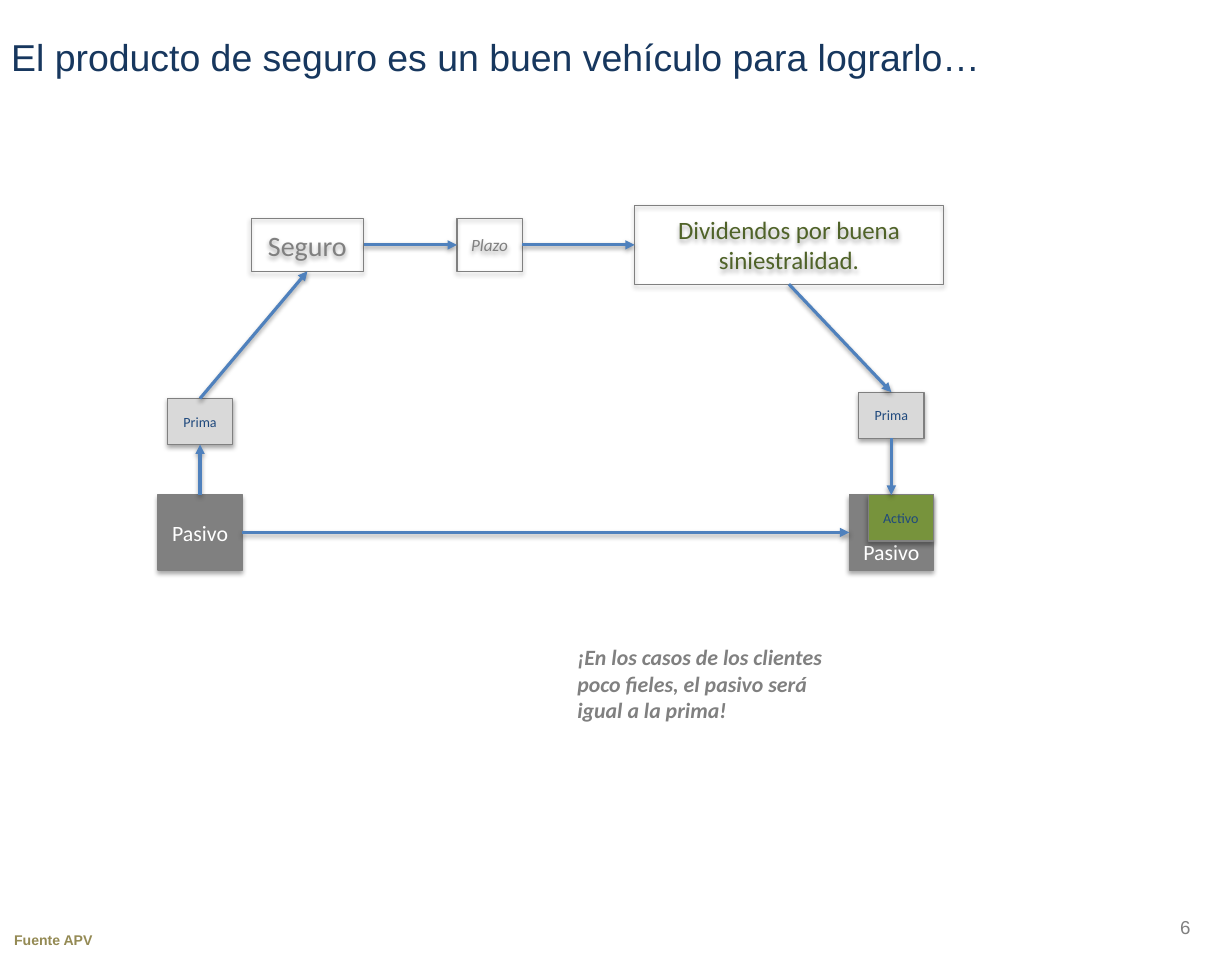
from pptx import Presentation
from pptx.dml.color import RGBColor
from pptx.enum.shapes import MSO_CONNECTOR as LINE, MSO_SHAPE as SHAPE
from pptx.enum.text import MSO_ANCHOR as ANCHOR, PP_ALIGN as ALIGN
from pptx.oxml import parse_xml
from pptx.oxml.ns import nsdecls
from pptx.util import Pt

GRAY = RGBColor(0x80, 0x80, 0x80)
PALE = RGBColor(0xD9, 0xD9, 0xD9)
WHITE = RGBColor(0xFF, 0xFF, 0xFF)
NAVY = RGBColor(0x17, 0x37, 0x5E)
INK = RGBColor(0x1F, 0x49, 0x7D)
BLUE = RGBColor(0x4F, 0x81, 0xBD)
GREEN = RGBColor(0x77, 0x93, 0x3C)
OLIVE = RGBColor(0x4F, 0x62, 0x28)
TAN = RGBColor(0x94, 0x8A, 0x54)


def write(shape, text, face, size, color, align=ALIGN.LEFT):
    frame = shape.text_frame
    frame.word_wrap = True
    frame.text = text
    par = frame.paragraphs[0]
    par.alignment = align
    par.font.name = face
    par.font.size = Pt(size)
    par.font.color.rgb = color
    return par.font


def shade(shape, dist, alpha):
    shape._element.spPr.append(parse_xml(
        f'<a:effectLst {nsdecls("a")}><a:outerShdw blurRad="{Pt(3.1)}" '
        f'dist="{Pt(dist)}" dir="5400000" rotWithShape="0"><a:srgbClr val="000000">'
        f'<a:alpha val="{alpha * 1000}"/></a:srgbClr></a:outerShdw></a:effectLst>'))


deck = Presentation()
deck.slide_width, deck.slide_height = Pt(790.6), Pt(612)
slide = deck.slides.add_slide(deck.slide_layouts[5])
shapes = slide.shapes

title = shapes.title
title.left, title.top, title.width, title.height = Pt(0), Pt(18), Pt(790), Pt(61)
title.text_frame.vertical_anchor = ANCHOR.TOP
write(title, "El producto de seguro es un buen vehículo para lograrlo…",
      "Arial", 24, NAVY)

boxes = {}
for name, text, x, y, w, h, fill, size, color in [
    ("debt end", "Pasivo", 545, 317.5, 54, 48.2, GRAY, 14, WHITE),
    ("debt start", "Pasivo", 101.4, 317.5, 54, 48.2, GRAY, 14, WHITE),
    ("cover", "Seguro", 161.3, 140.2, 72, 33.8, None, 18, GRAY),
    ("fee in", "Prima", 107.5, 255.6, 41.8, 29.6, PALE, 9, INK),
    ("gain", "Dividendos por buena siniestralidad.", 407.3, 131.9, 198, 50.4,
     None, 16, OLIVE),
    ("term", "Plazo", 293.3, 140.2, 41.8, 33.8, None, 11, GRAY),
    ("fee out", "Prima", 551.1, 251.6, 41.8, 29.6, PALE, 9, INK),
    ("asset", "Activo", 557.2, 317.5, 41.8, 29.6, GREEN, 9, INK),
]:
    box = shapes.add_shape(SHAPE.FLOWCHART_PROCESS, Pt(x), Pt(y), Pt(w), Pt(h))
    if fill:
        box.fill.solid()
        box.fill.fore_color.rgb = fill
    else:
        box.fill.background()
    box.line.color.rgb = GRAY
    box.line.width = Pt(0.75)
    shade(box, 1.8, 35)
    box.text_frame.vertical_anchor = ANCHOR.MIDDLE
    write(box, text, "Calibri", size, color, ALIGN.CENTER)
    boxes[name] = box
boxes["debt end"].text_frame.vertical_anchor = ANCHOR.BOTTOM
boxes["term"].text_frame.paragraphs[0].font.italic = True

TOP, LEFT, BASE, RIGHT = range(4)
for start, out, end, into in [
    ("debt start", TOP, "fee in", BASE),
    ("fee in", TOP, "cover", BASE),
    ("cover", RIGHT, "term", LEFT),
    ("term", RIGHT, "gain", LEFT),
    ("gain", BASE, "fee out", TOP),
    ("fee out", BASE, "debt end", TOP),
    ("debt start", RIGHT, "debt end", LEFT),
]:
    arrow = shapes.add_connector(LINE.STRAIGHT, Pt(0), Pt(0), Pt(0), Pt(0))
    arrow.begin_connect(boxes[start], out)
    arrow.end_connect(boxes[end], into)
    arrow.line.color.rgb = BLUE
    arrow.line.width = Pt(2)
    arrow.line._get_or_add_ln().append(
        parse_xml(f'<a:tailEnd {nsdecls("a")} type="triangle"/>'))
    shade(arrow, 1.6, 38)

for text, x, y, w, h, face, size, color, bold, slant in [
    ("¡En los casos de los clientes poco fieles, el pasivo será igual a la prima!",
     363.4, 409.7, 181.5, 75, "Calibri", 14, GRAY, True, True),
    ("Fuente APV", 2, 594, 381, 18, "Arial", 9, TAN, True, False),
    ("6", 750.2, 584, 29, 21.6, "Arial", 12, GRAY, False, False),
]:
    note = shapes.add_textbox(Pt(x), Pt(y), Pt(w), Pt(h))
    font = write(note, text, face, size, color)
    font.bold, font.italic = bold, slant

deck.save("out.pptx")
